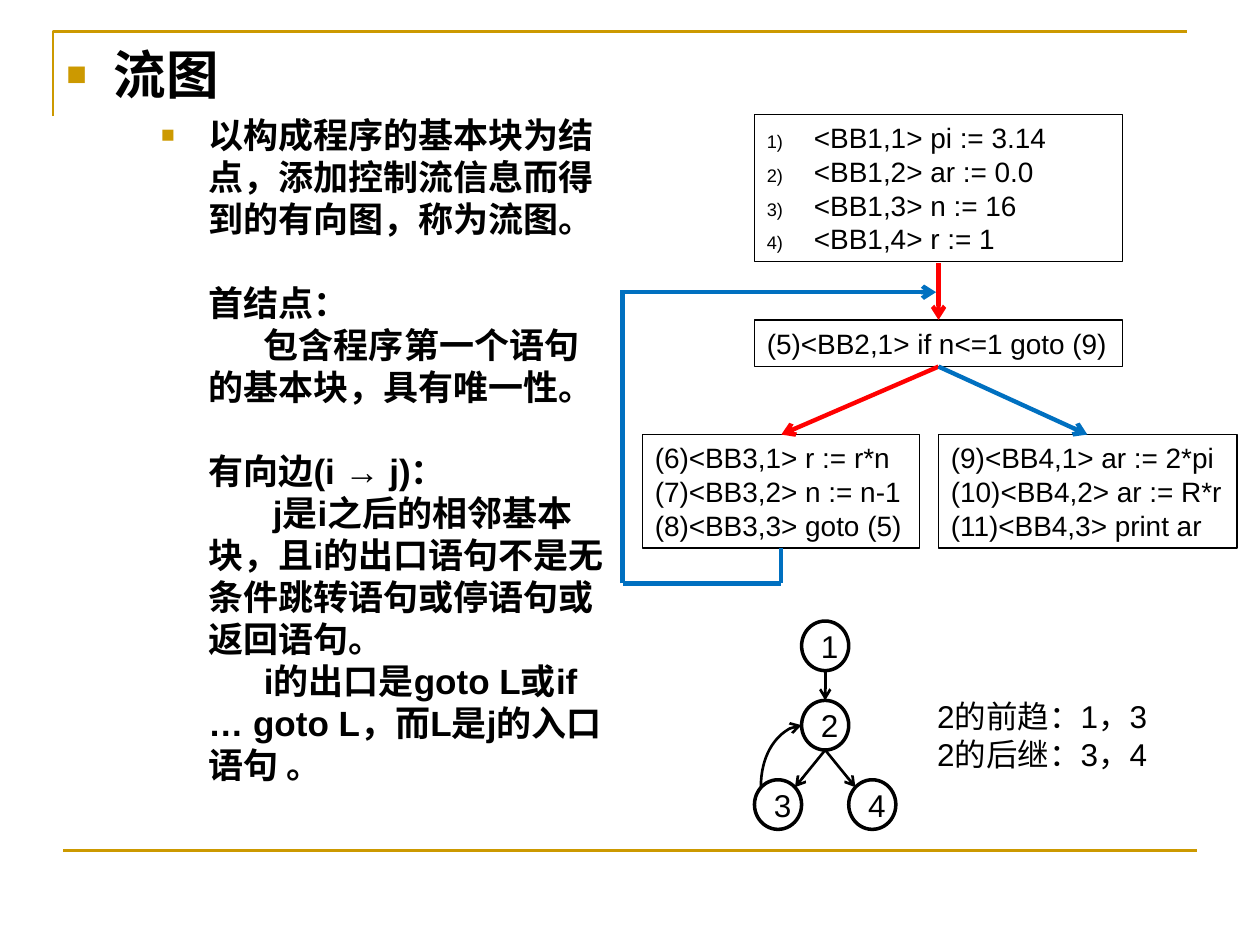
from lxml import etree
from pptx import Presentation
from pptx import util as u
from pptx.dml.color import RGBColor
from pptx.enum import shapes, text
from pptx.oxml.ns import qn

Cm, Pt = u.Cm, u.Pt
BLACK = RGBColor(0x00, 0x00, 0x00)
WHITE = RGBColor(0xFF, 0xFF, 0xFF)
GOLD = RGBColor(0xCC, 0x99, 0x00)
RED = RGBColor(0xFF, 0x00, 0x00)
BLUE = RGBColor(0x00, 0x70, 0xC0)
FONT = "Arial"
HANGING = 0.95

# text, first-line indent in cm, space before in points
BODY = [
    ("以构成程序的基本块为结点，添加控制流信息而得到的有向图，称为流图。", -HANGING, 0),
    ("首结点：", 0, 24),
    ("包含程序第一个语句的基本块，具有唯一性。", 1.12, 0),
    ("有向边(i → j)：", 0, 24),
    ("j是i之后的相邻基本块，且i的出口语句不是无条件跳转语句或停语句或返回语句。", 1.3, 0),
    ("i的出口是goto L或if … goto L，而L是j的入口语句 。", 1.12, 0),
]
# left, top, width, height, numbered, lines
BLOCKS = [
    (2.66, 0, 7.42, 2.97, True,
     ["<BB1,1> pi := 3.14", "<BB1,2> ar := 0.0", "<BB1,3> n := 16", "<BB1,4> r := 1"]),
    (2.66, 4.14, 7.42, 0.94, False, ["(5)<BB2,1> if n<=1 goto (9)"]),
    (0.4, 6.45, 5.59, 2.29, False,
     ["(6)<BB3,1> r := r*n", "(7)<BB3,2> n := n-1", "(8)<BB3,3> goto (5)"]),
    (6.37, 6.45, 6.02, 2.29, False,
     ["(9)<BB4,1> ar := 2*pi", "(10)<BB4,2> ar := R*r", "(11)<BB4,3> print ar"]),
]
# start, end, colour, arrow
BLOCK_EDGES = [
    ((6.37, 3), (6.37, 4.14), RED, True),
    ((6.37, 5.08), (3.2, 6.45), RED, True),
    ((6.37, 5.08), (9.37, 6.45), BLUE, True),
    ((3.2, 8.74), (3.2, 9.45), BLUE, False),
    ((0, 9.45), (3.2, 9.45), BLUE, False),
    ((0, 9.45), (0, 3.58), BLUE, False),
    ((-0.05, 3.58), (6.32, 3.58), BLUE, True),
]
NODES = {"1": (1, 0), "2": (1, 1), "3": (0, 2), "4": (2, 2)}
NODE_WIDTH, NODE_HEIGHT, COLUMN_STEP, ROW_STEP = 0.95, 1.0, 0.95, 1.6


def write(frame, lines, size=16, bold=False, align=text.PP_ALIGN.LEFT,
          anchor=text.MSO_ANCHOR.TOP, wrap=True):
    """Fill the frame with one paragraph a line and return the paragraphs."""
    frame.word_wrap = wrap
    frame.auto_size = text.MSO_AUTO_SIZE.NONE
    frame.vertical_anchor = anchor
    frame.margin_left = frame.margin_right = Cm(0.25)
    frame.margin_top = frame.margin_bottom = Cm(0.13)
    for index, line in enumerate(lines):
        paragraph = frame.add_paragraph() if index else frame.paragraphs[0]
        run = paragraph.add_run()
        run.text = line
        font = run.font
        font.name, font.size, font.bold = FONT, Pt(size), bold
        font.color.rgb = BLACK
        paragraph.alignment = align
        paragraph.line_spacing = Pt(1.2 * size)
    return frame.paragraphs


def indent(paragraph, left, first):
    properties = paragraph._p.get_or_add_pPr()
    properties.set("marL", str(Cm(left)))
    properties.set("indent", str(Cm(first)))
    return properties


def add_bullet(paragraph, colour, tag, left=HANGING, **attributes):
    """Give the paragraph a hanging bullet; tag is buChar or buAutoNum."""
    properties = indent(paragraph, left, -HANGING)
    holder = etree.SubElement(properties, qn("a:buClr"))
    etree.SubElement(holder, qn("a:srgbClr"), val=str(colour))
    etree.SubElement(properties, qn("a:buSzPct"), val="65000")
    etree.SubElement(properties, qn("a:buFont"), typeface=FONT)
    etree.SubElement(properties, qn(f"a:{tag}"), **attributes)


def add_line(parent, start, end, colour, width, arrow=None,
             kind=shapes.MSO_CONNECTOR.STRAIGHT):
    """Draw a line; arrow is None, headEnd or tailEnd."""
    line = parent.shapes.add_connector(kind, *(Cm(value) for value in (*start, *end)))
    line.line.color.rgb = colour
    line.line.width = Pt(width)
    if arrow:
        etree.SubElement(line.line._get_or_add_ln(), qn(f"a:{arrow}"), type="arrow")
    etree.SubElement(line._element.spPr, qn("a:effectLst"))
    return line


def add_outlined(parent, kind, left, top, width, height, line_width):
    shape = parent.shapes.add_shape(kind, Cm(left), Cm(top), Cm(width), Cm(height))
    shape.shadow.inherit = False
    shape.fill.background()
    shape.line.color.rgb = BLACK
    shape.line.width = Pt(line_width)
    return shape


def add_frame(slide, left, top, width, bottom):
    """Draw the gold corner above and the gold rule below."""
    builder = slide.shapes.build_freeform(Cm(left), Cm(top + 1.7))
    builder.add_line_segments(
        [(Cm(left), Cm(top)), (Cm(left + width), Cm(top))], close=False)
    corner = builder.convert_to_shape()
    corner.shadow.inherit = False
    corner.fill.background()
    corner.line.color.rgb = GOLD
    corner.line.width = Pt(1.5)
    add_line(slide, (left + 0.2, bottom), (left + 0.2 + width, bottom), GOLD, 1.5)


def add_explanation(slide, left, top, width, height):
    title_height = 1.45
    title = slide.shapes.title
    title.left, title.top, title.width, title.height = (
        Cm(left), Cm(top), Cm(width), Cm(title_height))
    heading = write(title.text_frame, ["流图"], size=30, bold=True)[0]
    add_bullet(heading, GOLD, "buChar", char="■")

    body = slide.shapes.add_textbox(
        Cm(left), Cm(top + title_height), Cm(width), Cm(height - title_height))
    paragraphs = write(body.text_frame, [line for line, _, _ in BODY], size=20, bold=True)
    add_bullet(paragraphs[0], GOLD, "buChar", left=2.86, char="■")
    for paragraph, (_, first, before) in zip(paragraphs, BODY):
        indent(paragraph, 2.86, first)
        if before:
            paragraph.space_before = Pt(before)


def add_block_graph(slide, left, top):
    group = slide.shapes.add_group_shape()
    for x, y, width, height, numbered, lines in BLOCKS:
        block = add_outlined(group, shapes.MSO_SHAPE.RECTANGLE,
                             left + x, top + y, width, height, 0.75)
        for paragraph in write(block.text_frame, lines):
            if numbered:
                add_bullet(paragraph, BLACK, "buAutoNum", type="arabicParenR")
    for (x1, y1), (x2, y2), colour, arrow in BLOCK_EDGES:
        add_line(group, (left + x1, top + y1), (left + x2, top + y2), colour, 2.5,
                 "tailEnd" if arrow else None)


def add_node_graph(slide, left, top):
    group = slide.shapes.add_group_shape()
    for label, (column, row) in NODES.items():
        node = add_outlined(group, shapes.MSO_SHAPE.OVAL, left + column * COLUMN_STEP,
                            top + row * ROW_STEP, NODE_WIDTH, NODE_HEIGHT, 2)
        write(node.text_frame, [label], size=18, align=text.PP_ALIGN.CENTER,
              anchor=text.MSO_ANCHOR.MIDDLE)
    middle = left + COLUMN_STEP + NODE_WIDTH / 2
    second = top + ROW_STEP
    fork = second + NODE_HEIGHT
    landing = top + 2 * ROW_STEP + 0.15
    for start, end in [((middle, top + NODE_HEIGHT), (middle, second)),
                       ((middle, fork), (middle - 0.61, landing)),
                       ((middle, fork), (middle + 0.61, landing))]:
        add_line(group, start, end, BLACK, 1.5, "tailEnd")
    back = add_line(group, (left + COLUMN_STEP, second + NODE_HEIGHT / 2),
                    (left + 0.13, landing), BLACK, 1.5, "headEnd",
                    shapes.MSO_CONNECTOR.CURVE)
    back._element.spPr.find(qn("a:prstGeom")).set("prst", "curvedConnector2")


def add_neighbours(slide, left, top, width, height):
    box = slide.shapes.add_textbox(Cm(left), Cm(top), Cm(width), Cm(height))
    write(box.text_frame, ["2的前趋：1，3", "2的后继：3，4"], size=18, wrap=False)


def main():
    presentation = Presentation()
    presentation.slide_width, presentation.slide_height = Cm(25.4), Cm(19.05)
    slide = presentation.slides.add_slide(presentation.slide_layouts[5])
    slide.background.fill.solid()
    slide.background.fill.fore_color.rgb = WHITE
    add_frame(slide, 1.07, 0.64, 22.86, 17.15)
    add_explanation(slide, 1.09, 0.71, 11.4, 16)
    add_block_graph(slide, 12.55, 2.31)
    add_node_graph(slide, 15.21, 12.52)
    add_neighbours(slide, 18.64, 13.92, 5.33, 1.78)
    presentation.save("out.pptx")


if __name__ == "__main__":
    main()
